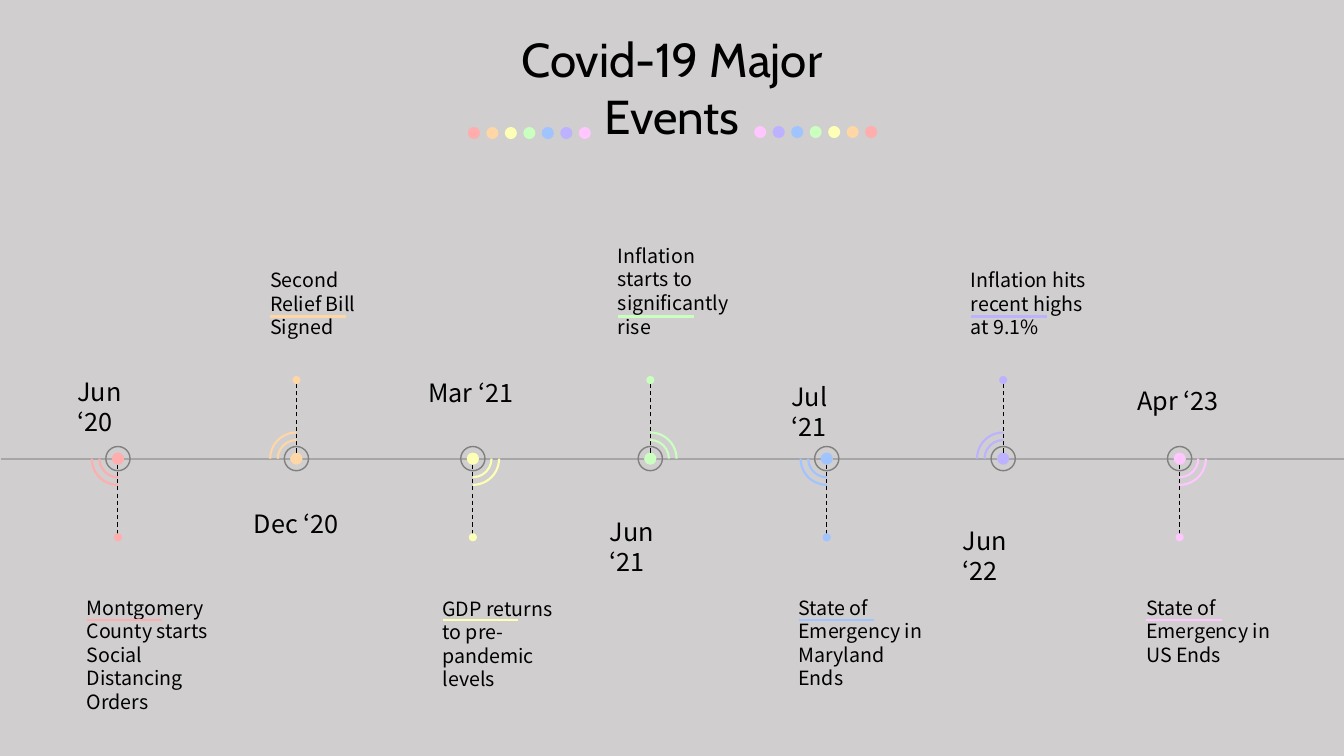
from dataclasses import dataclass

from lxml.etree import SubElement
from pptx import Presentation
from pptx.dml.color import RGBColor
from pptx.enum.dml import MSO_LINE
from pptx.enum.shapes import MSO_CONNECTOR, MSO_SHAPE
from pptx.enum.text import MSO_ANCHOR, MSO_AUTO_SIZE, PP_ALIGN
from pptx.oxml.ns import qn
from pptx.util import Inches, Pt

BACKGROUND = RGBColor(0xD0, 0xCE, 0xCE)
BLACK = RGBColor(0x00, 0x00, 0x00)
RAIL = RGBColor(0xA6, 0xA6, 0xA6)
RING = RGBColor(0x80, 0x80, 0x80)
RED = RGBColor(0xFF, 0xAD, 0xAD)
ORANGE = RGBColor(0xFF, 0xD6, 0xA5)
YELLOW = RGBColor(0xFD, 0xFF, 0xB6)
GREEN = RGBColor(0xCA, 0xFF, 0xBF)
BLUE = RGBColor(0xA0, 0xC4, 0xFF)
PURPLE = RGBColor(0xBD, 0xB2, 0xFF)
PINK = RGBColor(0xFF, 0xC6, 0xFF)

TITLE_FONT = "Cabin"
BODY_FONT = "Noto Sans CJK KR"
WIDTH, HEIGHT = 13.33, 7.5
RAIL_Y = 4.55
HUB = 0.12
DOT_STEP = 1.1 / 6
ARC_TURNS = (180, 270, 90, 0)


@dataclass
class Event:
    """One milestone; boxes are left, top, width, height in inches."""
    x: float
    color: RGBColor
    date: str
    date_box: tuple
    label: str
    label_box: tuple


EVENTS = [
    Event(1.17, RED, "Jun ‘20", (0.67, 3.68, 1.01, 0.4),
          "Montgomery County starts Social Distancing Orders", (0.76, 5.86, 1.51, 1.28)),
    Event(2.94, ORANGE, "Dec ‘20", (2.42, 4.99, 1.06, 0.4),
          "Second Relief Bill Signed", (2.58, 2.61, 1.29, 0.81)),
    Event(4.69, YELLOW, "Mar ‘21", (4.15, 3.69, 1.08, 0.4),
          "GDP returns to pre-pandemic levels", (4.29, 5.87, 1.45, 1.04)),
    Event(6.45, GREEN, "Jun ‘21", (5.95, 5.07, 1.01, 0.4),
          "Inflation starts to significantly rise", (6.03, 2.37, 1.35, 1.04)),
    Event(8.2, BLUE, "Jul ‘21", (7.75, 3.73, 0.92, 0.4),
          "State of Emergency in Maryland Ends", (7.82, 5.86, 1.51, 1.04)),
    Event(9.95, PURPLE, "Jun ‘22", (9.45, 5.16, 1.01, 0.4),
          "Inflation hits recent highs at 9.1%", (9.53, 2.61, 1.35, 0.81)),
    Event(11.7, PINK, "Apr ‘23", (11.18, 3.77, 1.03, 0.4),
          "State of Emergency in US Ends", (11.27, 5.86, 1.51, 0.81)),
]


def add_line(slide, start, end, color, width=1.5, dash=None):
    """Draw a straight line between two points."""
    points = [Inches(value) for value in (*start, *end)]
    line = slide.shapes.add_connector(MSO_CONNECTOR.STRAIGHT, *points)
    line.line.color.rgb = color
    line.line.width = Pt(width)
    if dash:
        line.line.dash_style = dash
    SubElement(line._element.spPr, qn("a:effectLst"))


def add_round(shapes, kind, x, y, size, fill=None, outline=None, width=1):
    """Add a round shape centred on a point."""
    shape = shapes.add_shape(kind, Inches(x - size / 2), Inches(y - size / 2),
                             Inches(size), Inches(size))
    shape.shadow.inherit = False
    if fill is None:
        shape.fill.background()
    else:
        shape.fill.solid()
        shape.fill.fore_color.rgb = fill
    if outline is None:
        shape.line.fill.background()
    else:
        shape.line.color.rgb = outline
        shape.line.width = Pt(width)
    return shape


def write_text(shape, text, size, font, align=PP_ALIGN.LEFT):
    """Put one formatted paragraph into a shape."""
    frame = shape.text_frame
    frame.text = text
    frame.word_wrap = True
    frame.auto_size = MSO_AUTO_SIZE.SHAPE_TO_FIT_TEXT
    frame.vertical_anchor = MSO_ANCHOR.TOP
    para = frame.paragraphs[0]
    para.alignment = align
    para.font.size = Pt(size)
    para.font.name = font
    para.font.color.rgb = BLACK


def add_text(slide, box, text, size):
    """Add a wrapped text box."""
    shape = slide.shapes.add_textbox(*(Inches(value) for value in box))
    write_text(shape, text, size, BODY_FONT)


def add_title(slide, text):
    """Place the title between its two rows of dots."""
    title = slide.shapes.title
    title.left, title.top = Inches(4.4), Inches(0.25)
    title.width, title.height = Inches(4.53), Inches(0.67)
    write_text(title, text, 34, TITLE_FONT, PP_ALIGN.CENTER)


def add_dot_row(slide, x, y, step):
    """Add a grouped row of dots in the event colours."""
    group = slide.shapes.add_group_shape()
    for index, event in enumerate(EVENTS):
        add_round(group.shapes, MSO_SHAPE.OVAL, x + index * step, y, HUB, fill=event.color)


def add_rail(slide):
    """Draw the rail in segments that stop at each hub."""
    starts = [0.01] + [event.x + HUB / 2 for event in EVENTS]
    ends = [event.x - HUB / 2 for event in EVENTS] + [WIDTH]
    for start, end in zip(starts, ends):
        add_line(slide, (start, RAIL_Y), (end, RAIL_Y), RAIL)


def add_event(slide, index, event):
    """Draw a hub with its stem, arcs, date and underlined label."""
    direction = -1 if index % 2 else 1
    add_round(slide.shapes, MSO_SHAPE.OVAL, event.x, RAIL_Y, HUB, fill=event.color)
    add_round(slide.shapes, MSO_SHAPE.OVAL, event.x, RAIL_Y, 0.24, outline=RING)
    add_line(slide, (event.x, RAIL_Y + direction * 0.06),
             (event.x, RAIL_Y + direction * 0.75), BLACK, 0.75, MSO_LINE.DASH)
    for size in (0.52, 0.37):
        arc = add_round(slide.shapes, MSO_SHAPE.ARC, event.x, RAIL_Y, size,
                        outline=event.color, width=1.5)
        arc.rotation = ARC_TURNS[index % len(ARC_TURNS)]
    add_round(slide.shapes, MSO_SHAPE.OVAL, event.x, RAIL_Y + direction * 0.78, 0.08,
              fill=event.color)
    add_text(slide, event.label_box, event.label, 14)
    add_text(slide, event.date_box, event.date, 18)
    left = event.label_box[0] + 0.1
    underline_y = 3.14 if direction < 0 else 6.15
    add_line(slide, (left, underline_y), (left + 0.75, underline_y), event.color)


def main():
    """Build the timeline slide."""
    deck = Presentation()
    deck.slide_width, deck.slide_height = Inches(WIDTH), Inches(HEIGHT)
    slide = deck.slides.add_slide(deck.slide_layouts[5])
    slide.background.fill.solid()
    slide.background.fill.fore_color.rgb = BACKGROUND
    add_title(slide, "Covid-19 Major Events")
    add_dot_row(slide, 4.7, 1.32, DOT_STEP)
    add_dot_row(slide, 8.64, 1.31, -DOT_STEP)
    add_rail(slide)
    for index, event in enumerate(EVENTS):
        add_event(slide, index, event)
    deck.save("out.pptx")


if __name__ == "__main__":
    main()
